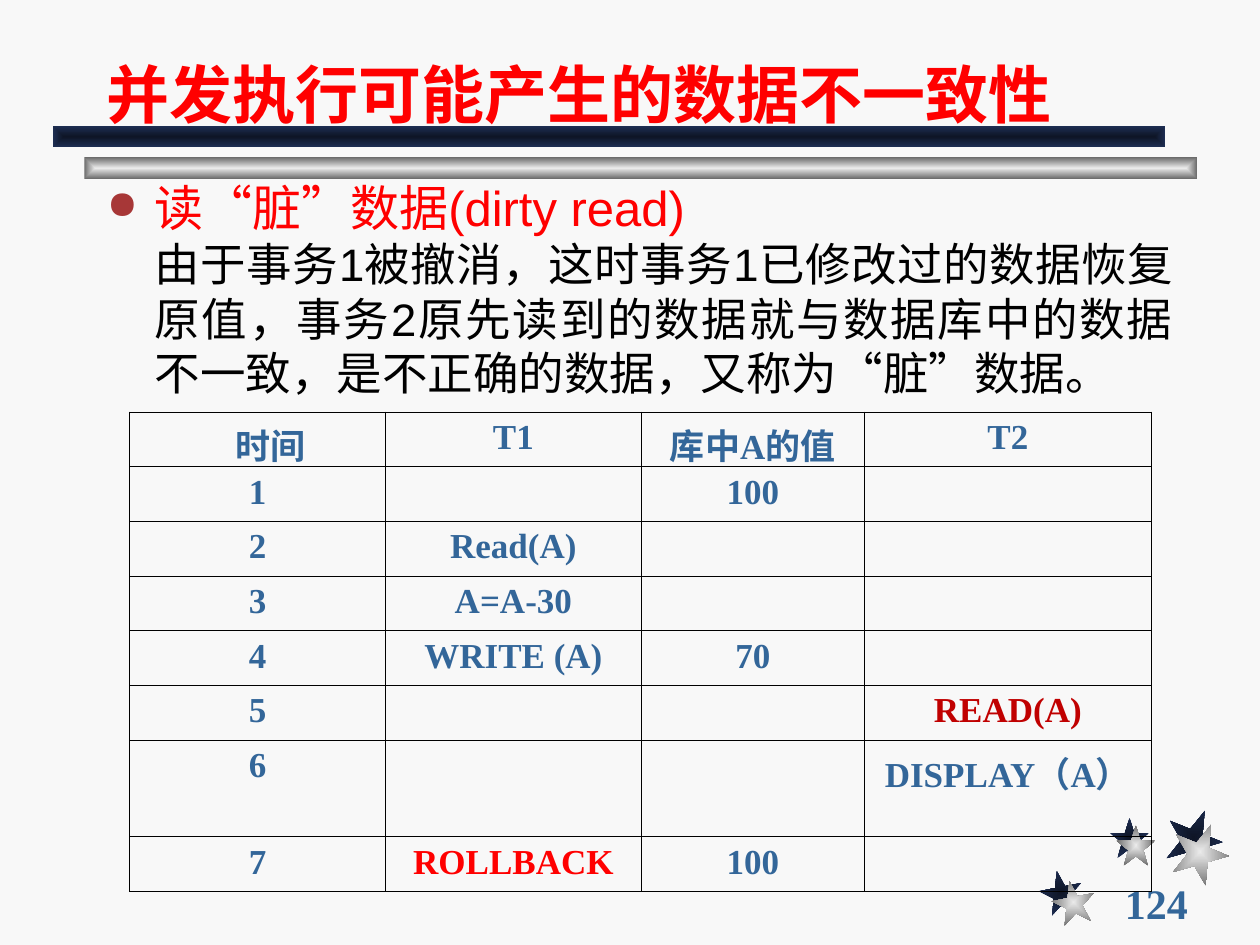
from lxml import etree
from pptx import Presentation
from pptx.dml.color import RGBColor
from pptx.enum.shapes import MSO_SHAPE as Shape
from pptx.enum.text import MSO_ANCHOR as Anchor, PP_ALIGN as Align
from pptx.oxml import parse_xml
from pptx.oxml.ns import nsdecls, qn
from pptx.util import Inches, Pt

PAPER = RGBColor(0xF8, 0xF8, 0xF8)
RED = RGBColor(0xFF, 0x00, 0x00)
DARK_RED = RGBColor(0xC0, 0x00, 0x00)
BULLET = RGBColor(0xA7, 0x37, 0x37)
BLUE = RGBColor(0x33, 0x66, 0x99)
BLACK = RGBColor(0x00, 0x00, 0x00)
NAVY = (RGBColor(0x0E, 0x15, 0x26), RGBColor(0x1E, 0x2E, 0x53))
SILVER = (RGBColor(0xEA, 0xEA, 0xEA), RGBColor(0x6C, 0x6C, 0x6C))

SANS, SERIF = "Arial", "Times New Roman"
HANG = 0.38

HEAD = ["时间", "T1", "库中A的值", "T2"]
STEPS = [
    ["1", "", "100", ""],
    ["2", "Read(A)", "", ""],
    ["3", "A=A-30", "", ""],
    ["4", "WRITE (A)", "70", ""],
    ["5", "", "", "READ(A)"],
    ["6", "", "", "DISPLAY（A）"],
    ["7", "ROLLBACK", "100", ""],
]
ACCENTS = {"READ(A)": DARK_RED, "ROLLBACK": RED}


def write(para, text, size=20, font=SERIF, color=BLUE, bold=False,
          align=None, left=0, first=0, bullet=None):
    """Fill a paragraph; left and first are its indents in inches."""
    para.alignment = align
    props = para._p.get_or_add_pPr()
    props.set("marL", str(Inches(left)))
    props.set("indent", str(Inches(first)))
    if bullet:
        tint = etree.SubElement(props, qn("a:buClr"))
        etree.SubElement(tint, qn("a:srgbClr"), val=str(BULLET))
        etree.SubElement(props, qn("a:buSzPct"), val="80000")
        etree.SubElement(props, qn("a:buChar"), char=bullet)
    if text:
        run = para.add_run()
        run.text = text
        target = run.font
    else:
        target = para.font
    target.size, target.name, target.bold = Pt(size), font, bold
    target.color.rgb = color


def add_box(slide, x, y, w, h, anchor=Anchor.TOP, wrap=True):
    box = slide.shapes.add_textbox(Inches(x), Inches(y), Inches(w), Inches(h))
    frame = box.text_frame
    frame.word_wrap, frame.vertical_anchor = wrap, anchor
    return frame


def add_glow(slide, kind, x, y, w, h, tones, turn=0):
    """Add a shape whose tones run from its centre to its edges."""
    shape = slide.shapes.add_shape(
        kind, Inches(x), Inches(y), Inches(w), Inches(h))
    shape.shadow.inherit = False
    shape.line.fill.background()
    shape.rotation = turn
    shape.fill.gradient()
    grad = shape._element.spPr.find(qn("a:gradFill"))
    for stop, tone in zip(shape.fill.gradient_stops, tones):
        stop.color.rgb = tone
    for stop, place in zip(shape.fill.gradient_stops, (0, 1)):
        stop.position = place
    grad.remove(grad.find(qn("a:lin")))
    way = etree.SubElement(grad, qn("a:path"), {"path": "rect"})
    etree.SubElement(way, qn("a:fillToRect"),
                     {side: "50000" for side in "ltrb"})


def add_stars(slide, x, y):
    stars = [  # left, top, width, height, turn, offset of the silver star
        (0, 0.49, 0.34, 0.34, 349, (0.1, 0.08)),
        (0.56, 0.07, 0.31, 0.32, 0, (0.05, 0.06)),
        (1, 0, 0.45, 0.46, 22, (0.05, 0.11)),
    ]
    for tones, shift in ((NAVY, 0), (SILVER, 1)):
        for dx, dy, w, h, turn, (ox, oy) in stars:
            add_glow(slide, Shape.STAR_5_POINT, x + dx + ox * shift,
                     y + dy + oy * shift, w, h, tones, turn)


def add_bars(slide, x, y, w, h):
    add_glow(slide, Shape.RECTANGLE, x + 0.25, y + 0.25, w, h, SILVER)
    add_glow(slide, Shape.RECTANGLE, x, y, w, h, NAVY)


def add_title(slide, x, y, w, h):
    frame = add_box(slide, x, y, w, h, Anchor.BOTTOM)
    write(frame.paragraphs[0], "并发执行可能产生的数据不一致性",
          size=36, font=SANS, color=RED, bold=True)


def add_body(slide, x, y, w, h):
    frame = add_box(slide, x, y, w, h)
    write(frame.paragraphs[0], "读“脏”数据(dirty read)", size=28, font=SANS,
          color=RED, left=HANG, first=-HANG, bullet="●")
    write(frame.add_paragraph(),
          "由于事务1被撤消，这时事务1已修改过的数据恢复原值，"
          "事务2原先读到的数据就与数据库中的数据不一致，"
          "是不正确的数据，又称为“脏”数据。",
          size=26, font=SANS, color=BLACK, align=Align.JUSTIFY, left=HANG)


def rule_cell(cell):
    """Draw thin black borders round a cell without fill."""
    cell.fill.background()
    props = cell._tc.get_or_add_tcPr()
    for spot, side in enumerate(("lnL", "lnR", "lnT", "lnB")):
        props.insert(spot, parse_xml(
            f'<a:{side} {nsdecls("a")} w="{Pt(0.45)}"><a:solidFill>'
            f'<a:srgbClr val="{BLACK}"/></a:solidFill></a:{side}>'))


def add_steps(slide, x, y, w, h):
    rows = [HEAD] + STEPS
    table = slide.shapes.add_table(
        len(rows), len(HEAD), Inches(x), Inches(y), Inches(w), Inches(h)).table
    table.first_row = table.horz_banding = False
    for col, width in zip(table.columns, (2.03, 2.03, 1.77, 2.28)):
        col.width = Inches(width)
    for row, texts in zip(table.rows, rows):
        row.height = Inches(0.72 if texts[0] == "6" else 0.41)
        for cell, text in zip(row.cells, texts):
            write(cell.text_frame.paragraphs[0], text, bold=True,
                  color=ACCENTS.get(text, BLUE), align=Align.CENTER,
                  left=HANG, first=-HANG)
            rule_cell(cell)
    table.cell(0, 0).margin_left = Inches(0.3)


def add_number(slide, x, y, w, h):
    frame = add_box(slide, x, y, w, h, Anchor.MIDDLE, wrap=False)
    write(frame.paragraphs[0], "124", size=24, bold=True)


def main():
    deck = Presentation()
    deck.slide_width, deck.slide_height = Inches(10), Inches(7.5)
    slide = deck.slides.add_slide(deck.slide_layouts[6])
    slide.background.fill.solid()
    slide.background.fill.fore_color.rgb = PAPER
    add_stars(slide, 8.25, 6.42)
    add_bars(slide, 0.42, 1, 8.83, 0.17)
    add_number(slide, 8.83, 7, 1.08, 0.33)
    add_title(slide, 0.75, 0.17, 8.5, 0.92)
    add_body(slide, 0.75, 1.36, 8.66, 1.91)
    add_steps(slide, 1.03, 3.27, 8.11, 3.64)
    deck.save("out.pptx")


if __name__ == "__main__":
    main()
